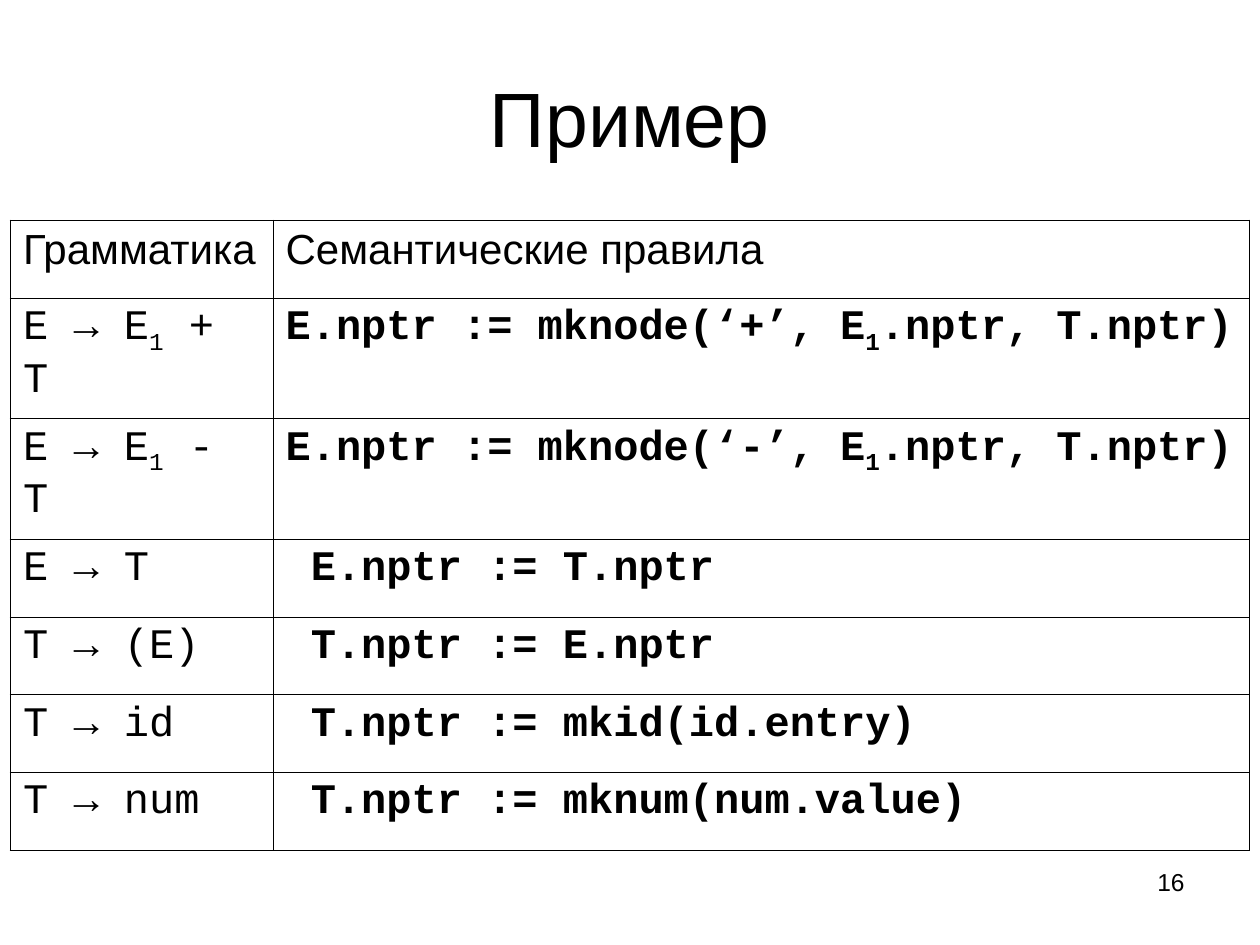
from lxml.etree import SubElement
from pptx import Presentation
from pptx.dml.color import RGBColor
from pptx.enum.text import MSO_ANCHOR as Anchor, PP_ALIGN as Align
from pptx.oxml.ns import qn
from pptx.util import Pt

BLACK = RGBColor(0, 0, 0)
SANS, MONO = "Arial", "Courier New"
OUTER, INNER = 1.08, 0.45

TITLE = "Пример"
PAGE = "16"
HEADER = ("Грамматика", "Семантические правила")
# "_" sets the next character as a subscript
RULES = [
    ("E → E_1 + T", "E.nptr := mknode(‘+’, E_1.nptr, T.nptr)"),
    ("E → E_1 - T", "E.nptr := mknode(‘-’, E_1.nptr, T.nptr)"),
    ("E → T", " E.nptr := T.nptr"),
    ("T → (E)", " T.nptr := E.nptr"),
    ("T → id", " T.nptr := mkid(id.entry)"),
    ("T → num", " T.nptr := mknum(num.value)"),
]
COL_WIDTHS = (150, 558)
ROW_HEIGHT = 44.5


def write(tf, text, size=24, font=SANS, bold=False, align=Align.LEFT, before=0):
    tf.word_wrap = True
    p = tf.paragraphs[0]
    p.alignment = align
    p.space_before = Pt(before)
    first, *rest = text.split("_")
    parts = [(first, False)]
    for part in rest:
        parts += [(part[0], True), (part[1:], False)]
    for content, subscript in parts:
        r = p.add_run()
        r.text = content
        r.font.size, r.font.name, r.font.bold = Pt(size), font, bold
        r.font.color.rgb = BLACK
        if subscript:
            r.font._element.set("baseline", "-25000")


def add_text(slide, text, box, anchor=Anchor.TOP, **fmt):
    tf = slide.shapes.add_textbox(*map(Pt, box)).text_frame
    tf.vertical_anchor = anchor
    write(tf, text, **fmt)


def set_borders(cell, **widths):
    tc_pr = cell._tc.get_or_add_tcPr()
    for side, width in widths.items():
        ln = SubElement(tc_pr, qn(f"a:ln{side}"), w=str(int(Pt(width))))
        fill = SubElement(ln, qn("a:solidFill"))
        SubElement(fill, qn("a:srgbClr"), val=str(BLACK))


def add_rules_table(slide, left, top):
    rows = [HEADER] + RULES
    n_rows, n_cols = len(rows), len(COL_WIDTHS)
    table = slide.shapes.add_table(n_rows, n_cols, Pt(left), Pt(top),
                                   Pt(sum(COL_WIDTHS)), Pt(n_rows * ROW_HEIGHT)).table
    table.first_row = table.horz_banding = False
    for column, width in zip(table.columns, COL_WIDTHS):
        column.width = Pt(width)
    for i, row in enumerate(rows):
        table.rows[i].height = Pt(ROW_HEIGHT)
        for j, text in enumerate(row):
            cell = table.cell(i, j)
            set_borders(cell,
                        L=OUTER if j == 0 else INNER,
                        R=OUTER if j == n_cols - 1 else INNER,
                        T=OUTER if i == 0 else INNER,
                        B=OUTER if i == n_rows - 1 else INNER)
            cell.fill.background()
            write(cell.text_frame, text, font=MONO if i else SANS,
                  bold=i > 0 and j == 1, before=6)


def main():
    prs = Presentation()
    prs.slide_width, prs.slide_height = Pt(720), Pt(540)
    slide = prs.slides.add_slide(prs.slide_layouts[6])
    add_text(slide, PAGE, (516, 492, 168, 37.5), size=14, align=Align.RIGHT)
    add_text(slide, TITLE, (36, 21.6, 648, 90), anchor=Anchor.MIDDLE,
             size=44, align=Align.CENTER)
    add_rules_table(slide, 6, 126)
    prs.save("out.pptx")


if __name__ == "__main__":
    main()
